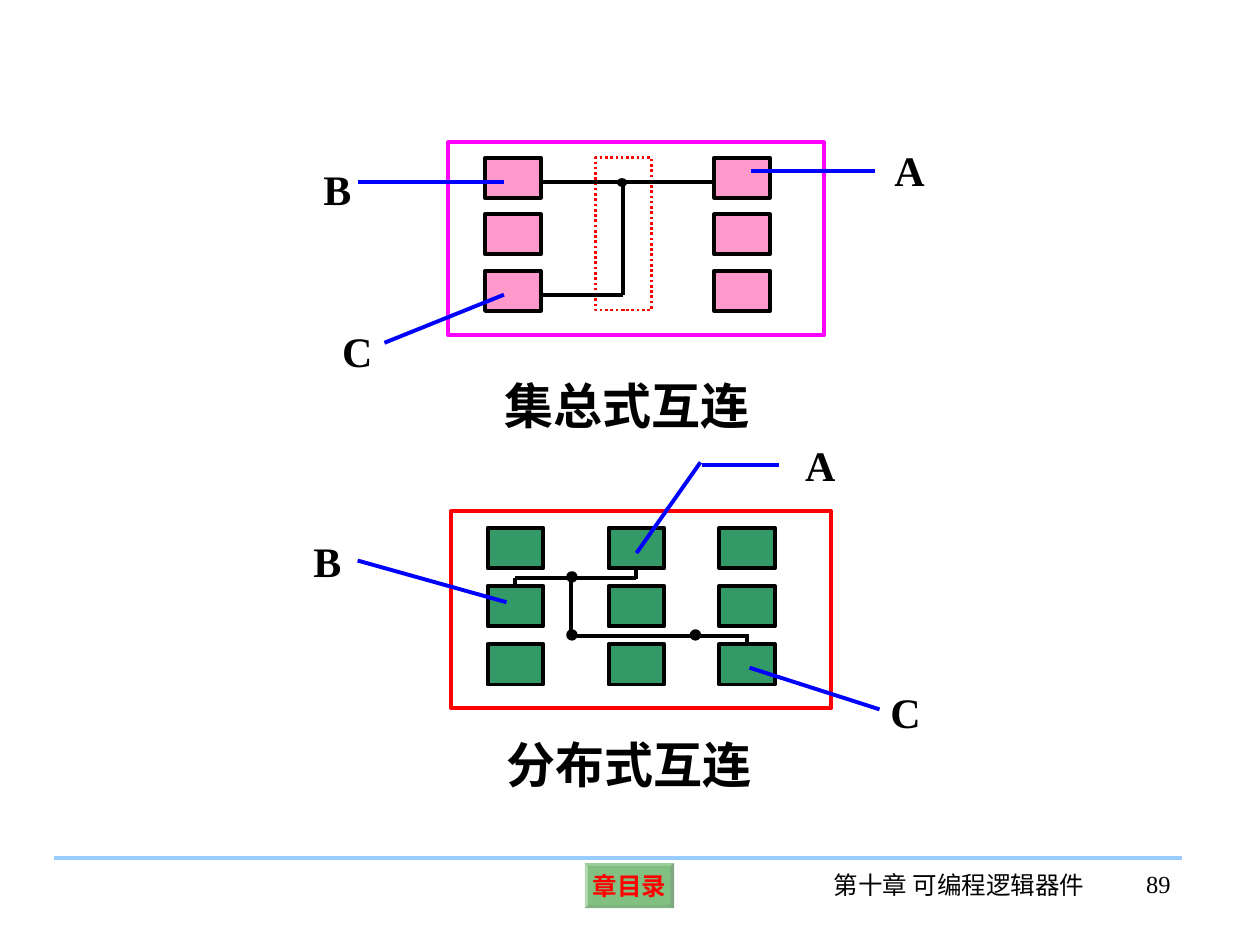
from lxml.etree import SubElement
from pptx import Presentation
from pptx.dml.color import RGBColor
from pptx.enum.dml import MSO_LINE
from pptx.enum.shapes import MSO_CONNECTOR, MSO_SHAPE
from pptx.enum.text import MSO_ANCHOR, PP_ALIGN
from pptx.oxml.ns import qn
from pptx.util import Cm, Pt

# Theme
THEME = {
    "font": "Times New Roman",
    "ink": "000000", "lead": "0000FF", "bus": "FF0000", "rule": "99CCFF",
    "button": "008000", "button_text": "FF0000", "button_alpha": 49,
    "label_size": 24, "caption_size": 28, "footer_size": 14,
    "line": 2.25,
}

# Content: all lengths in centimetres; cells are keyed by (column, row)
DIAGRAMS = [
    {
        "frame": (9.04, 2.87, 7.57, 3.89), "frame_color": "FF00FF",
        "columns": (9.78, 14.40), "top": 3.18, "step": 1.14,
        "cell": (1.12, 0.81), "cell_color": "FF99CC",
        "bus": (12.01, 3.18, 1.12, 3.07),
        "wires": [
            ((10.90, 3.66), (14.40, 3.66)),
            ((10.90, 5.94), (12.55, 5.94)),
            ((12.55, 3.66), (12.55, 5.94)),
        ],
        "taps": [],
        "dots": [(12.54, 3.68)], "dot_size": (0.18, 0.15), "dot_line": 0.75,
        "leads": [
            ((10.16, 5.94), (7.75, 6.91)),
            ((15.14, 3.45), (17.63, 3.45)),
            ((7.21, 3.66), (10.16, 3.66)),
        ],
        "labels": [
            ("C", 6.65, 6.43, 1.47), ("B", 6.27, 3.18, 2.39), ("A", 17.78, 2.79, 1.47),
        ],
        "caption": ("集总式互连", 9.93, 7.44),
    },
    {
        "frame": (9.09, 10.31, 7.67, 3.96), "frame_color": "FF0000",
        "columns": (9.83, 12.27, 14.50), "top": 10.64, "step": 1.17,
        "cell": (1.12, 0.82), "cell_color": "339966",
        "bus": None,
        "wires": [
            ((10.39, 11.66), (12.83, 11.66)),
            ((11.51, 11.66), (11.51, 12.82)),
            ((11.51, 12.82), (15.10, 12.82)),
        ],
        # cell, connection site, free end
        "taps": [
            ((0, 1), 0, (10.39, 11.66)),
            ((1, 0), 2, (12.83, 11.68)),
            ((2, 2), 0, (15.06, 12.80)),
        ],
        "dots": [(11.53, 11.63), (11.53, 12.80), (14.02, 12.80)],
        "dot_size": (0.15, 0.15), "dot_line": 2.25,
        "leads": [
            ((15.11, 13.46), (17.73, 14.30)),
            ((10.21, 12.14), (7.21, 11.30)),
            ((12.83, 11.15), (14.12, 9.32)),
            ((14.15, 9.37), (15.70, 9.37)),
        ],
        "labels": [
            ("C", 17.70, 13.72, 1.50), ("B", 6.07, 10.67, 1.27), ("A", 15.98, 8.74, 1.50),
        ],
        "caption": ("分布式互连", 9.96, 14.68),
    },
]
FOOTER = [
    ("第十章 可编程逻辑器件", (16.21, 17.42, 6.25, 1.27), PP_ALIGN.CENTER),
    ("89", (21.67, 17.40, 2.18, 1.27), PP_ALIGN.RIGHT),
]
FOOTER_RULE = ((1.09, 17.30), (23.83, 17.30))
BUTTON = ("章目录", (11.79, 17.40, 1.80, 0.91))


def set_values(target, values):
    for name, value in values.items():
        setattr(target, name, value)


def color(name):
    return RGBColor.from_string(name)


def write(shape, text, size, ink=THEME["ink"], bold=False, align=PP_ALIGN.LEFT, **frame):
    set_values(shape.text_frame, {"word_wrap": True, **frame})
    para = shape.text_frame.paragraphs[0]
    para.alignment = align
    span = para.add_run()
    span.text = text
    set_values(span.font, {"name": THEME["font"], "size": Pt(size), "bold": bold})
    span.font.color.rgb = color(ink)


def add_text(shapes, text, place, size, **style):
    box = shapes.add_textbox(*map(Cm, place))
    write(box, text, size, **style)


def add_shape(shapes, kind, place, fill=None, line=None, width=THEME["line"]):
    shape = shapes.add_shape(kind, *map(Cm, place))
    shape.shadow.inherit = False
    if fill:
        shape.fill.solid()
        shape.fill.fore_color.rgb = color(fill)
    else:
        shape.fill.background()
    if line:
        shape.line.color.rgb = color(line)
        shape.line.width = Pt(width)
    else:
        shape.line.fill.background()
    return shape


def add_line(shapes, start, end, ink):
    line = shapes.add_connector(MSO_CONNECTOR.STRAIGHT, *map(Cm, start + end))
    line.line.color.rgb = color(ink)
    line.line.width = Pt(THEME["line"])
    SubElement(line._element.spPr, qn("a:effectLst"))
    return line


def add_diagram(page, plan):
    shapes = page.shapes.add_group_shape().shapes
    add_shape(shapes, MSO_SHAPE.RECTANGLE, plan["frame"], line=plan["frame_color"])

    # Grid of logic cells
    cells = {}
    for column, left in enumerate(plan["columns"]):
        for row in range(3):
            place = (left, plan["top"] + row * plan["step"], *plan["cell"])
            cells[column, row] = add_shape(
                shapes, MSO_SHAPE.RECTANGLE, place, plan["cell_color"], THEME["ink"])
    if plan["bus"]:
        bus = add_shape(shapes, MSO_SHAPE.RECTANGLE, plan["bus"], line=THEME["bus"], width=1.5)
        bus.line.dash_style = MSO_LINE.ROUND_DOT

    # Wiring, junctions and leads
    for start, end in plan["wires"]:
        add_line(shapes, start, end, THEME["ink"])
    for cell, site, end in plan["taps"]:
        add_line(shapes, end, end, THEME["ink"]).begin_connect(cells[cell], site)
    width, height = plan["dot_size"]
    for x, y in plan["dots"]:
        place = (x - width / 2, y - height / 2, width, height)
        add_shape(shapes, MSO_SHAPE.OVAL, place, THEME["ink"], THEME["ink"], plan["dot_line"])
    for start, end in plan["leads"]:
        add_line(shapes, start, end, THEME["lead"])

    # Labels and caption
    for text, left, top, width in plan["labels"]:
        add_text(shapes, text, (left, top, width, 1.27), THEME["label_size"], bold=True)
    text, left, top = plan["caption"]
    add_text(page.shapes, text, (left, top, 5.44, 1.45), THEME["caption_size"],
             bold=True, word_wrap=False)


def add_footer(page):
    add_line(page.shapes, *FOOTER_RULE, THEME["rule"])
    for text, place, align in FOOTER:
        add_text(page.shapes, text, place, THEME["footer_size"], align=align)

    # Half-transparent contents button
    text, place = BUTTON
    button = add_shape(page.shapes, MSO_SHAPE.BEVEL, place, THEME["button"])
    button.adjustments[0] = 0.07
    tint = button._element.spPr.find(qn("a:solidFill"))[0]
    SubElement(tint, qn("a:alpha"), val=str(THEME["button_alpha"] * 1000))
    margins = {f"margin_{side}": Cm(0.1) for side in ("left", "top", "right", "bottom")}
    write(button, text, THEME["footer_size"], THEME["button_text"], True, PP_ALIGN.CENTER,
          word_wrap=False, vertical_anchor=MSO_ANCHOR.MIDDLE, **margins)


def main():
    deck = Presentation()
    set_values(deck, {"slide_width": Cm(25.4), "slide_height": Cm(19.05)})
    page = deck.slides.add_slide(deck.slide_layouts[6])
    add_footer(page)
    for plan in DIAGRAMS:
        add_diagram(page, plan)
    deck.save("out.pptx")


if __name__ == "__main__":
    main()
